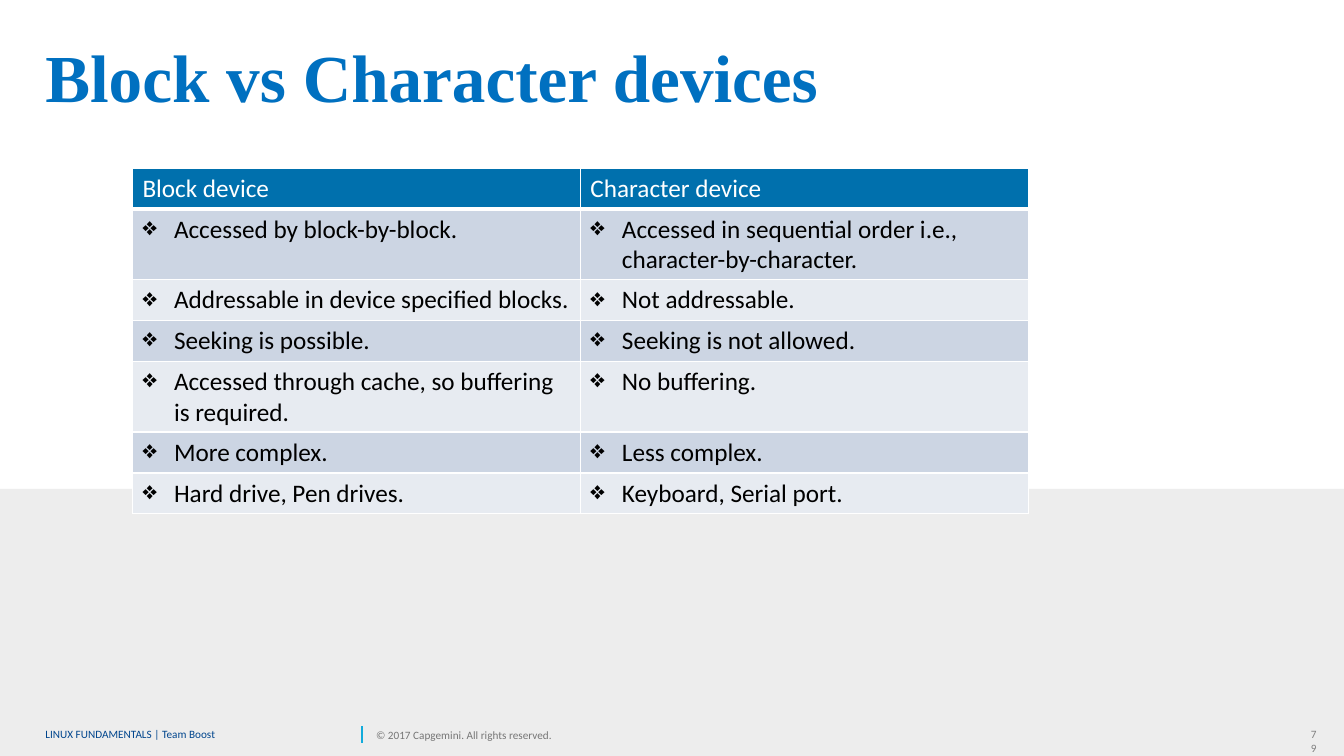
from lxml import etree
from pptx import Presentation
from pptx.dml.color import RGBColor
from pptx.enum.shapes import MSO_CONNECTOR, MSO_SHAPE
from pptx.enum.text import MSO_ANCHOR, PP_ALIGN
from pptx.oxml.ns import qn
from pptx.util import Pt

RECT = MSO_SHAPE.RECTANGLE
LINE = MSO_CONNECTOR.STRAIGHT
TOP, MIDDLE = MSO_ANCHOR.TOP, MSO_ANCHOR.MIDDLE
LEFT, RIGHT = PP_ALIGN.LEFT, PP_ALIGN.RIGHT

COLORS = {
    "band": "EDEDED", "title": "0070C0", "head": "0070AD",
    "odd": "CCD5E3", "even": "E7EBF1", "white": "FFFFFF", "black": "000000",
    "rule": "12ABDB", "page": "808080", "rights": "767676", "foot": "00458D",
}


def color(name):
    return RGBColor.from_string(COLORS[name])


def write(para, text, size, tint, face="Calibri", bold=False):
    run = para.add_run()
    run.text = text
    style = {"size": Pt(size), "name": face, "bold": bold}
    for key, value in style.items():
        setattr(run.font, key, value)
    run.font.color.rgb = color(tint)


deck = Presentation()
deck.slide_width, deck.slide_height = Pt(960), Pt(540)
slide = deck.slides.add_slide(deck.slide_layouts[6])
shapes = slide.shapes

# Grey lower band
band = shapes.add_shape(RECT, Pt(0), Pt(349.2), Pt(960), Pt(190.8))
band.shadow.inherit = False
band.fill.solid()
band.fill.fore_color.rgb = color("band")
band.line.fill.background()

# Footer rule
rule = shapes.add_connector(LINE, Pt(258.5), Pt(530.6), Pt(258.5), Pt(518.4))
rule.line.color.rgb = color("rule")
rule.line.width = Pt(1)
etree.SubElement(rule._element.spPr, qn("a:effectLst"))

# Title, footer and page number: place, text, font, then box format
BOXES = [
    ((32.4, 31.7, 867.6, 67.7), "Block vs Character devices",
     (48, "title", "Times New Roman", True), TOP, LEFT, 0.9, True, (0, 0)),
    ((32.4, 516.2, 222.5, 17.3), "LINUX FUNDAMENTALS | Team Boost",
     (8, "foot"), MIDDLE, LEFT, 0.85, True, (0, 0)),
    ((268.6, 516.2, 175, 17.3), "© 2017 Capgemini. All rights reserved.",
     (8, "rights"), MIDDLE, LEFT, 1.0, False, (0, 0)),
    ((928.1, 516.2, 19.4, 17.3), "79",
     (8, "page"), TOP, RIGHT, 1.0, True, (7.2, 3.6)),
]
for place, text, font, anchor, align, space, wrap, (side, edge) in BOXES:
    frame = shapes.add_textbox(*map(Pt, place)).text_frame
    style = {
        "word_wrap": wrap, "vertical_anchor": anchor,
        "margin_left": Pt(side), "margin_right": Pt(side),
        "margin_top": Pt(edge), "margin_bottom": Pt(edge),
    }
    for key, value in style.items():
        setattr(frame, key, value)
    para = frame.paragraphs[0]
    para.alignment = align
    para.line_spacing = space
    write(para, text, *font)

# Comparison table
ROWS = [
    ("Block device", "Character device"),
    ("Accessed by block-by-block.",
     "Accessed in sequential order i.e., character-by-character."),
    ("Addressable in device specified blocks.", "Not addressable."),
    ("Seeking is possible.", "Seeking is not allowed."),
    ("Accessed through cache, so buffering is required.", "No buffering."),
    ("More complex.", "Less complex."),
    ("Hard drive, Pen drives.", "Keyboard, Serial port."),
]
HIGH = 29.2
table = shapes.add_table(len(ROWS), 2, Pt(94.6), Pt(120.2), Pt(640),
                         Pt(HIGH * len(ROWS))).table
table.first_row = table.horz_banding = False
for r, row in enumerate(ROWS):
    table.rows[r].height = Pt(HIGH)
    fill = "head" if r == 0 else "odd" if r % 2 else "even"
    for c, text in enumerate(row):
        cell = table.cell(r, c)

        # White borders, heavier under the header
        props = cell._tc.get_or_add_tcPr()
        for side in "LRTB":
            width = 3 if r == 0 and side == "B" else 1
            edge = etree.SubElement(props, qn("a:ln" + side), w=str(Pt(width)))
            solid = etree.SubElement(edge, qn("a:solidFill"))
            etree.SubElement(solid, qn("a:srgbClr"), val=COLORS["white"])
        cell.fill.solid()
        cell.fill.fore_color.rgb = color(fill)

        # Bulleted text below the header
        para = cell.text_frame.paragraphs[0]
        if r:
            pr = para._p.get_or_add_pPr()
            pr.set("marL", str(Pt(22.5)))
            pr.set("indent", str(-Pt(22.5)))
            etree.SubElement(pr, qn("a:buChar"), char="❖")
        write(para, text, 18, "black" if r else "white")

deck.save("out.pptx")
